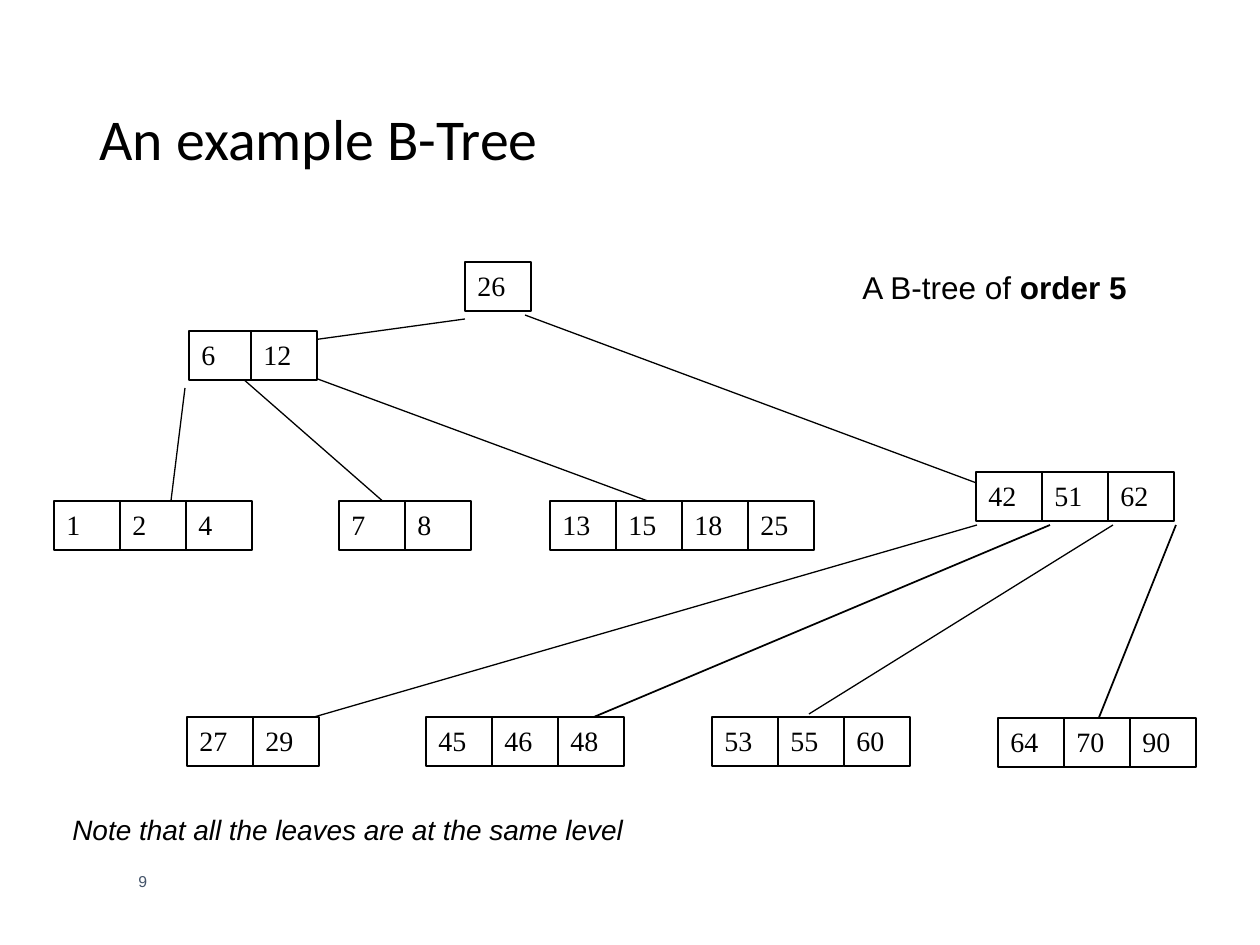
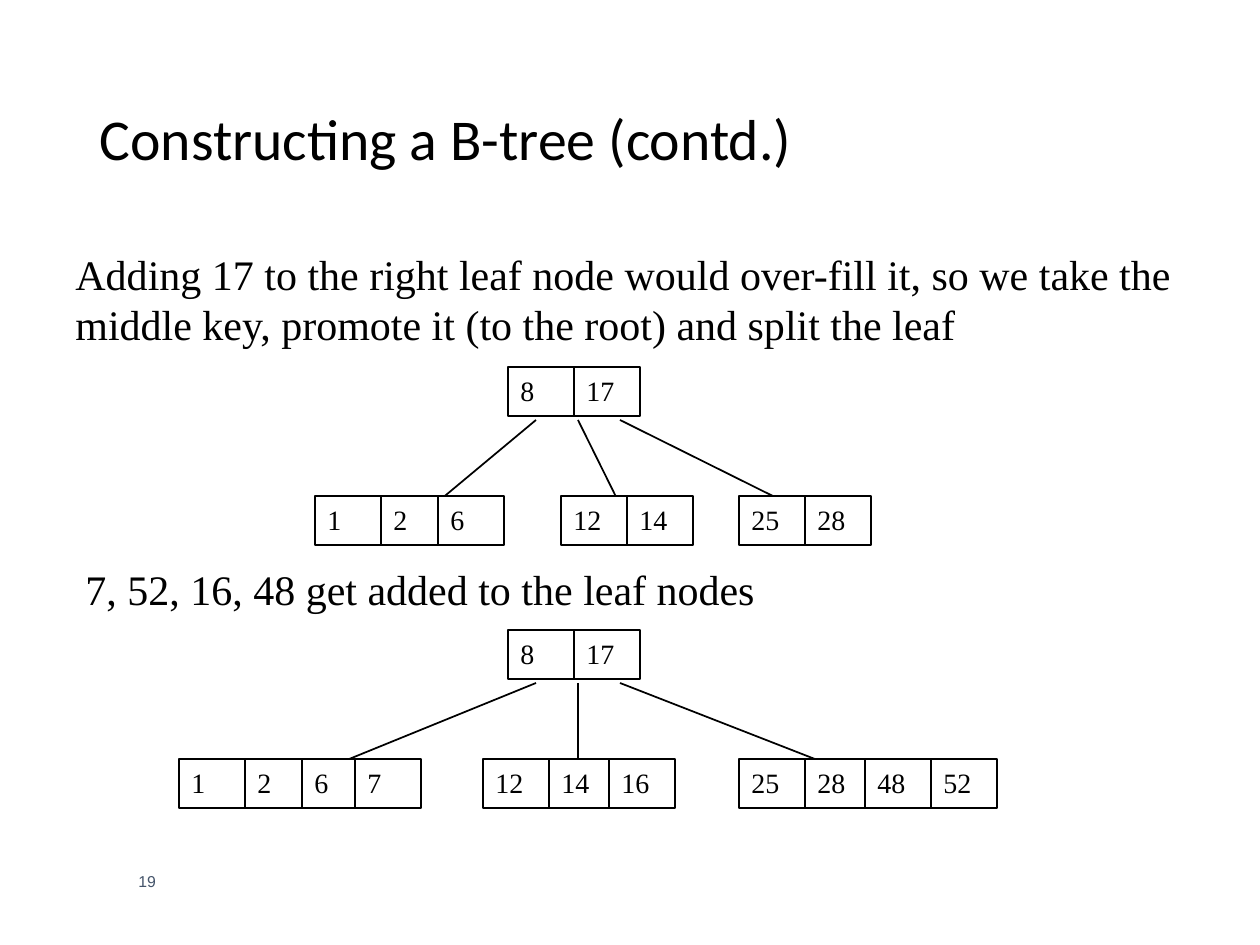
from lxml import etree
from pptx import Presentation
from pptx.dml.color import RGBColor
from pptx.enum.shapes import MSO_CONNECTOR, MSO_SHAPE
from pptx.enum.text import MSO_ANCHOR, PP_ALIGN
from pptx.oxml.ns import qn
from pptx.util import Emu, Pt

BLACK = RGBColor(0x00, 0x00, 0x00)
WHITE = RGBColor(0xFF, 0xFF, 0xFF)
SLATE = RGBColor(0x44, 0x54, 0x6A)
SANS, SERIF, HEADING = "Arial", "Times New Roman", "Calibri"
TOP, MIDDLE, LEFT = MSO_ANCHOR.TOP, MSO_ANCHOR.MIDDLE, PP_ALIGN.LEFT
RECT, STRAIGHT = MSO_SHAPE.RECTANGLE, MSO_CONNECTOR.STRAIGHT

PX_PER_INCH = 126
CELL_W, CELL_H = 66, 49
TITLE_ONLY = 5


def px(n):
    return Emu(round(n * 914400 / PX_PER_INCH))


class Deck:
    """Holds the shared style and the current slide."""

    def __init__(self):
        self.prs = Presentation()
        self.prs.slide_width, self.prs.slide_height = px(1260), px(945)
        self.s = None

    def style(self, p, font, size, color=BLACK):
        p.alignment = LEFT
        p.font.name, p.font.size, p.font.color.rgb = font, Pt(size), color

    def slide(self, title, number):
        self.s = self.prs.slides.add_slide(self.prs.slide_layouts[TITLE_ONLY])
        sp = self.s.shapes.title
        sp.left, sp.top, sp.width, sp.height = px(87), px(50), px(1086), px(183)
        tf = sp.text_frame
        tf.text, tf.vertical_anchor = title, MIDDLE
        p = tf.paragraphs[0]
        p.line_spacing = 0.9
        self.style(p, HEADING, 33)
        self.text(126, 850, 546, 63, [number], SANS, 9, SLATE, MIDDLE)

    def text(self, x, y, w, h, parts, font, size, color=BLACK, anchor=TOP, wrap=True):
        """Add a text box and return its runs."""
        tf = self.s.shapes.add_textbox(px(x), px(y), px(w), px(h)).text_frame
        tf.word_wrap, tf.vertical_anchor = wrap, anchor
        p = tf.paragraphs[0]
        self.style(p, font, size, color)
        for part in parts:
            p.add_run().text = part
        return p.runs

    def node(self, x, y, keys, steps=()):
        """Draw a row of keys; steps gives the pitch where it is not a full cell."""
        for i, key in enumerate(keys):
            sp = self.s.shapes.add_shape(RECT, px(x), px(y), px(CELL_W), px(CELL_H))
            sp.shadow.inherit = False
            sp.fill.solid()
            sp.fill.fore_color.rgb = WHITE
            sp.line.color.rgb, sp.line.width = BLACK, Pt(0.75)
            tf = sp.text_frame
            tf.text, tf.vertical_anchor = str(key), TOP
            self.style(tf.paragraphs[0], SERIF, 16)
            x += steps[i] if i < len(steps) else CELL_W

    def link(self, x1, y1, x2, y2, weight=1.0):
        line = self.s.shapes.add_connector(STRAIGHT, px(x1), px(y1), px(x2), px(y2))
        line.line.color.rgb, line.line.width = BLACK, Pt(weight)
        etree.SubElement(line._element.spPr, qn("a:effectLst"))


def example_tree(d):
    d.slide("An example B-Tree", "9")

    # Links lie behind the nodes
    for ends in [(1092, 735, 1176, 525), (525, 746, 1050, 525)]:
        d.link(*ends)
    for ends in [(465, 319, 218, 353), (525, 315, 1076, 520),
                 (315, 378, 683, 514), (242, 378, 410, 525), (185, 388, 168, 525),
                 (1113, 525, 809, 714), (977, 525, 252, 735)]:
        d.link(*ends, weight=0.75)

    # Root and inner nodes
    d.node(465, 262, [26])
    d.node(189, 331, [6, 12], [62])
    d.node(976, 472, [42, 51, 62])

    # Leaves
    for x, keys in [(54, [1, 2, 4]), (339, [7, 8]), (550, [13, 15, 18, 25])]:
        d.node(x, 501, keys)
    for x, y, keys in [(187, 717, [27, 29]), (426, 717, [45, 46, 48]),
                       (712, 717, [53, 55, 60]), (998, 718, [64, 70, 90])]:
        d.node(x, y, keys)

    # Captions
    runs = d.text(850, 262, 368, 64, ["A B-tree of ", "order 5"], SANS, 18)
    runs[1].font.bold = True
    runs = d.text(60, 806, 578, 47, ["Note that all the leaves are at the same level"],
                  SANS, 16, wrap=False)
    runs[0].font.italic = True


def split_step(d, y, child_ends, leaves):
    """Draw the root 8 | 17 at height y with its three leaves."""
    for x, (end_x, drop) in zip((536, 578, 620), child_ends):
        d.link(x, y + 53, end_x, y + drop)
    d.node(508, y, [8, 17])
    for x, keys, steps in leaves:
        d.node(x, y + 129, keys, steps)


def constructing(d):
    d.slide("Constructing a B-tree (contd.)", "19")

    # Split of the right leaf
    d.text(63, 242, 1155, 113,
           ["Adding 17 to the right leaf node would over-fill it, so we take the "
            "middle key, promote it (to the root) and split the leaf"], SERIF, 24)
    split_step(d, 367, [(410, 158), (630, 158), (809, 147)],
               [(315, [1, 2, 6], [66, 57]), (561, [12, 14], []), (739, [25, 28], [])])

    # Keys added to the leaves
    d.text(73, 557, 1134, 63, ["7, 52, 16, 48 get added to the leaf nodes"], SERIF, 24)
    split_step(d, 630, [(305, 147), (578, 158), (861, 147)],
               [(179, [1, 2, 6, 7], [66, 57, 53]), (483, [12, 14, 16], [66, 60]),
                (739, [25, 28, 48, 52], [66, 60])])


def main():
    d = Deck()
    example_tree(d)
    constructing(d)
    d.prs.save("out.pptx")


if __name__ == "__main__":
    main()
